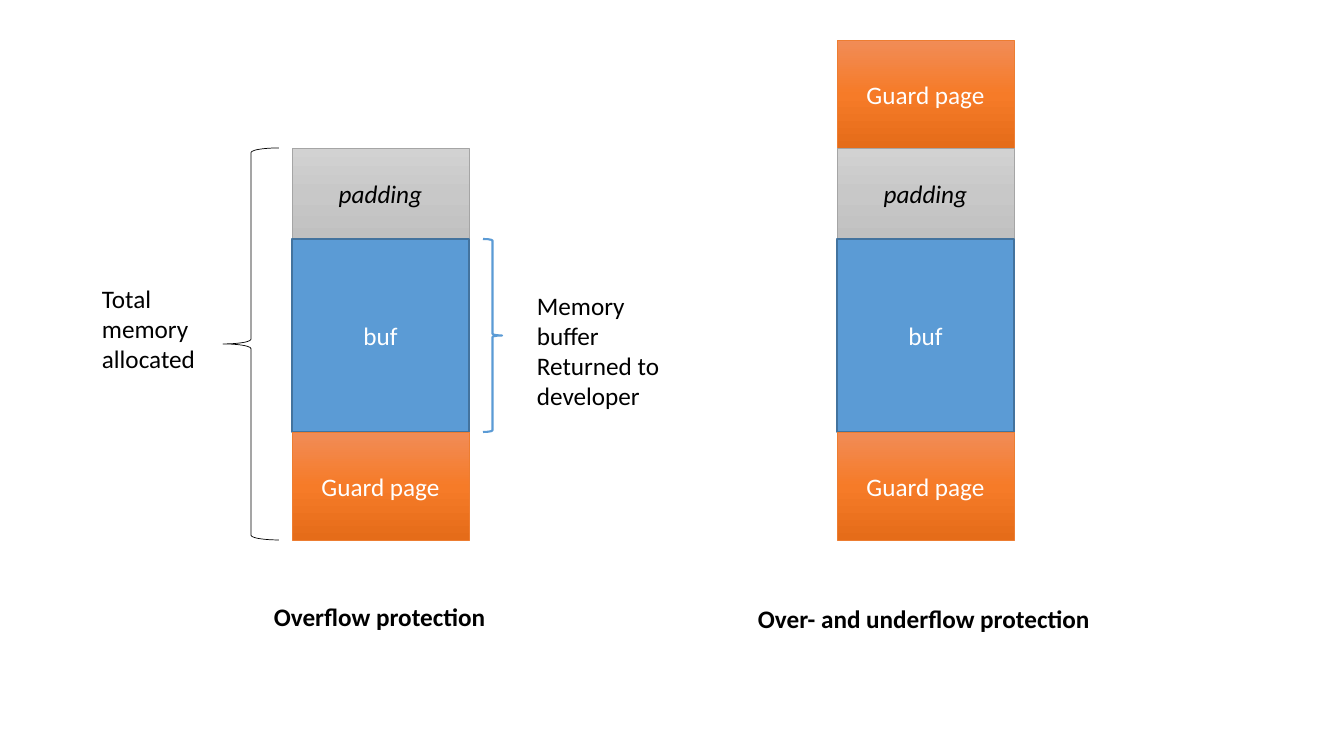
from copy import deepcopy
from dataclasses import dataclass

from pptx import Presentation
from pptx import util as u
from pptx.dml.color import RGBColor
from pptx.enum import shapes, text

PX = 914400 / 100.8  # EMU per pixel
FONT = "Calibri"
COLORS = {
    "black": "000000", "white": "FFFFFF",
    "blue": "5B9BD5", "blue_line": "43739E",
    "gray_top": "D2D2D2", "gray_mid": "C8C8C8", "gray_low": "C0C0C0", "gray_line": "A5A5A5",
    "orange_top": "F18C57", "orange_mid": "F67B28", "orange_low": "E56C19",
    "orange_line": "ED7D31",
}


@dataclass(frozen=True)
class Block:
    label: str
    height: int
    fill: tuple[str, ...]
    line: str
    line_pt: float
    color: str = "white"
    italic: bool = False


@dataclass(frozen=True)
class Brace:
    kind: shapes.MSO_SHAPE
    box: tuple[int, int, int, int]
    color: str
    line_pt: float


@dataclass(frozen=True)
class Label:
    lines: tuple[str, ...]
    box: tuple[int, int, int, int]
    bold: bool = False
    wrap: bool = True


def rgb(name: str) -> RGBColor:
    return RGBColor.from_string(COLORS[name])


def emu(*pixels: int) -> list[int]:
    return [round(p * PX) for p in pixels]


def write(tf, *lines: str, color="black", size=18, bold=False, italic=False, align=None) -> None:
    for i, line in enumerate(lines):
        p = tf.paragraphs[0] if i == 0 else tf.add_paragraph()
        p.alignment = align
        r = p.add_run()
        r.text = line
        r.font.name, r.font.size = FONT, u.Pt(size)
        r.font.bold, r.font.italic = bold, italic
        r.font.color.rgb = rgb(color)


def paint(sp, names: tuple[str, ...]) -> None:
    """Solid fill for one colour, vertical gradient for three."""
    if len(names) == 1:
        sp.fill.solid()
        sp.fill.fore_color.rgb = rgb(names[0])
        return
    sp.fill.gradient()
    sp.fill.gradient_angle = 270
    first = sp._element.spPr.xpath("./a:gradFill/a:gsLst/a:gs")[0]
    first.addnext(deepcopy(first))
    for i, (stop, name) in enumerate(zip(sp.fill.gradient_stops, names)):
        stop.position = i / (len(names) - 1)
        stop.color.rgb = rgb(name)


def add_outlined(parent, kind, box, line: str, line_pt: float):
    sp = parent.add_shape(kind, *emu(*box))
    sp.shadow.inherit = False
    sp.line.color.rgb = rgb(line)
    sp.line.width = u.Pt(line_pt)
    return sp


def draw_stack(parent, left: int, top: int, blocks: list[Block]) -> None:
    for b in blocks:
        sp = add_outlined(parent, shapes.MSO_SHAPE.RECTANGLE,
                          (left, top, BLOCK_W, b.height), b.line, b.line_pt)
        paint(sp, b.fill)
        sp.text_frame.vertical_anchor = text.MSO_ANCHOR.MIDDLE
        write(sp.text_frame, b.label, color=b.color, italic=b.italic,
              align=text.PP_ALIGN.CENTER)
        top += b.height


def draw_brace(parent, brace: Brace) -> None:
    sp = add_outlined(parent, brace.kind, brace.box, brace.color, brace.line_pt)
    sp.fill.background()


def draw_label(parent, label: Label) -> None:
    tf = parent.add_textbox(*emu(*label.box)).text_frame
    tf.word_wrap = label.wrap
    tf.auto_size = text.MSO_AUTO_SIZE.SHAPE_TO_FIT_TEXT
    write(tf, *label.lines, bold=label.bold)


# Memory regions
BLOCK_W = 177
PADDING = Block("padding", 91, ("gray_top", "gray_mid", "gray_low"), "gray_line", 0.5,
                color="black", italic=True)
BUF = Block("buf", 193, ("blue",), "blue_line", 1)
GUARD = Block("Guard page", 108, ("orange_top", "orange_mid", "orange_low"), "orange_line", 0.5)
MEMORY = [PADDING, BUF, GUARD]

STACK_TOP = 148
BUF_TOP = STACK_TOP + PADDING.height
TOTAL_H = sum(b.height for b in MEMORY)

BRACES = [
    Brace(shapes.MSO_SHAPE.LEFT_BRACE, (223, STACK_TOP, 56, TOTAL_H), "black", 0.5),
    Brace(shapes.MSO_SHAPE.RIGHT_BRACE, (483, BUF_TOP, 19, BUF.height), "blue", 1.5),
]
NOTES = [
    Label(("Total memory allocated",), (92, 278, 119, 102)),
    Label(("Memory buffer", "Returned to developer"), (527, 285, 172, 132)),
]
CAPTIONS = [
    Label(("Overflow protection",), (264, 596, 234, 40), bold=True, wrap=False),
    Label(("Over- and underflow protection",), (748, 598, 356, 40), bold=True, wrap=False),
]

prs = Presentation()
prs.slide_width, prs.slide_height = emu(1344, 756)
s = prs.slides.add_slide(prs.slide_layouts[6])

# Overflow protection: stack, braces and their notes
overflow = s.shapes.add_group_shape().shapes
draw_stack(overflow, 292, STACK_TOP, MEMORY)
for brace in BRACES:
    draw_brace(overflow, brace)
for note in NOTES:
    draw_label(overflow, note)

# Over- and underflow protection: a guard page at both ends
both = s.shapes.add_group_shape().shapes
draw_stack(both, 837, STACK_TOP - GUARD.height, [GUARD, *MEMORY])

# Captions
for caption in CAPTIONS:
    draw_label(s.shapes, caption)

prs.save("out.pptx")
